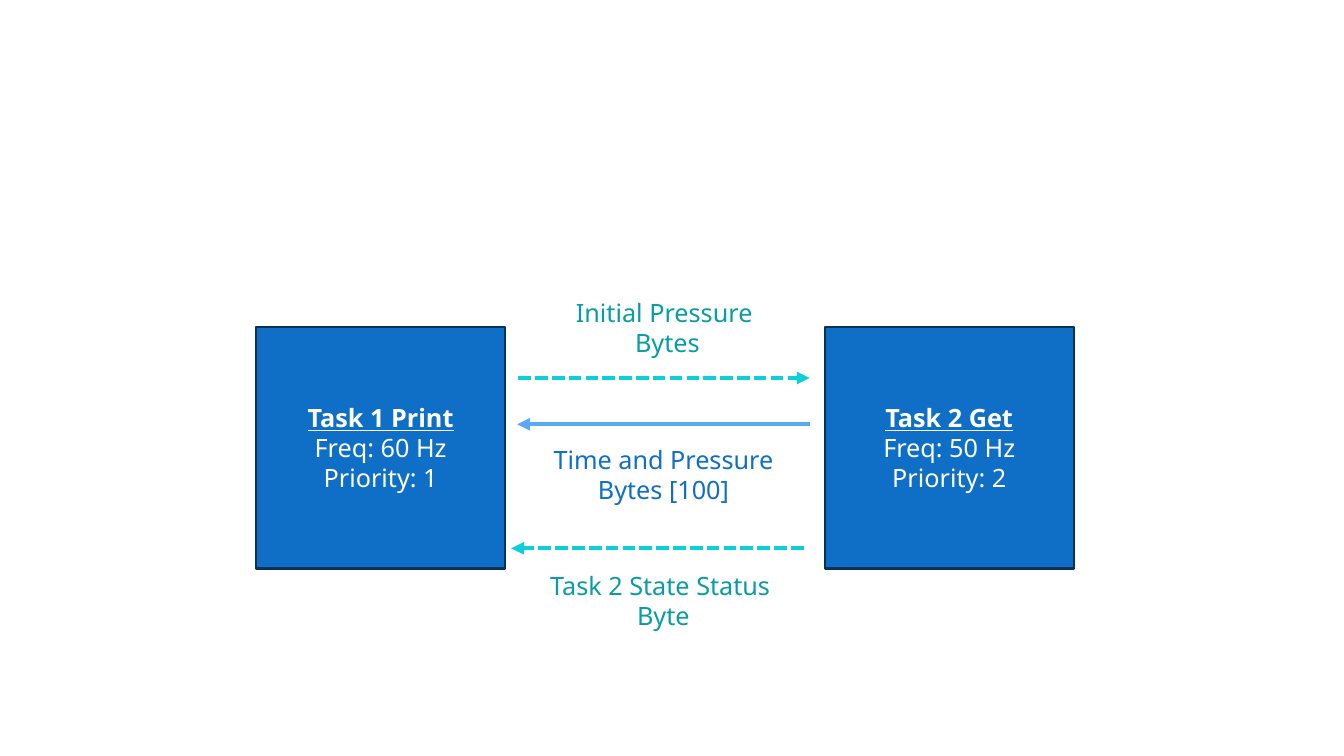
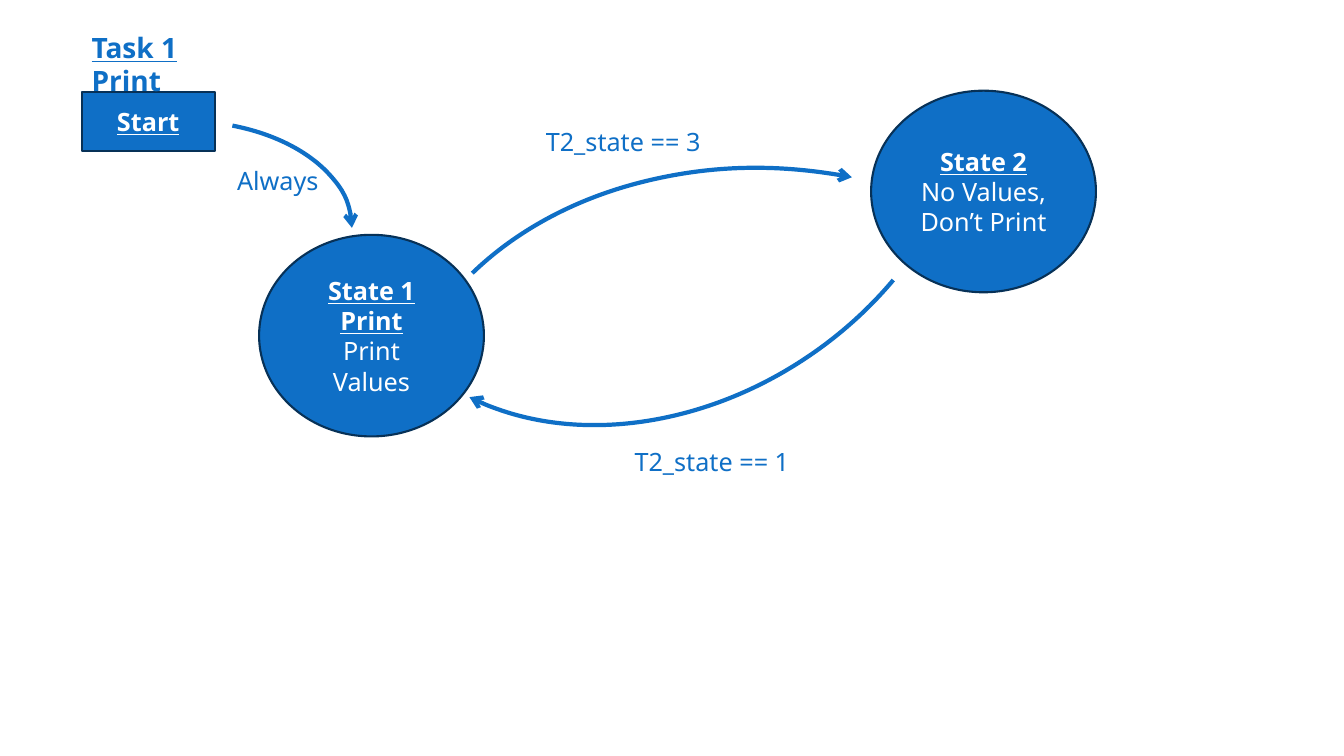
from dataclasses import dataclass

from lxml.etree import SubElement
from pptx import Presentation
from pptx.dml.color import RGBColor
from pptx.enum.dml import MSO_LINE
from pptx.enum.shapes import MSO_CONNECTOR, MSO_SHAPE
from pptx.enum.text import MSO_ANCHOR, MSO_AUTO_SIZE, PP_ALIGN
from pptx.oxml.ns import qn
from pptx.shapes.autoshape import Shape
from pptx.shapes.base import BaseShape
from pptx.slide import Slide
from pptx.util import Inches, Length, Pt


@dataclass(frozen=True)
class Theme:
    font: str = "Noto Sans"
    body_size: int = 18
    title_size: int = 20
    outline_width: float = 1.5
    arrow_width: float = 3
    white: str = "FFFFFF"
    blue: str = "0F6FC6"
    light_blue: str = "59AAF2"
    navy: str = "073157"
    cyan: str = "0BD0D9"
    teal: str = "089CA3"


THEME = Theme()


# Positions and sizes are columns and rows of a grid with ten cells to the inch
@dataclass(frozen=True)
class Box:
    column: float
    row: float
    columns: float
    rows: float


@dataclass(frozen=True)
class Node:
    box: Box
    lines: tuple[str, ...]
    kind: MSO_SHAPE = MSO_SHAPE.RECTANGLE


@dataclass(frozen=True)
class Message:
    start: float
    end: float
    row: float
    color: str
    dashed: bool = True


@dataclass(frozen=True)
class Transition:
    box: Box
    start_angle: float
    end_angle: float = 0
    rotation: float = 0


@dataclass(frozen=True)
class Label:
    box: Box
    lines: tuple[str, ...]
    color: str = THEME.blue
    title: bool = False


def cells(count: float) -> Length:
    return Inches(count / 10)


def place(box: Box) -> tuple[Length, Length, Length, Length]:
    return cells(box.column), cells(box.row), cells(box.columns), cells(box.rows)


def rgb(color: str) -> RGBColor:
    return RGBColor.from_string(color)


def write_lines(shape: Shape, lines: tuple[str, ...], color: str, size: int,
                align: PP_ALIGN, heading: bool) -> None:
    """Write one paragraph a line; a heading is bold and underlined."""
    frame = shape.text_frame
    frame.word_wrap = True
    frame.text = "\n".join(lines)
    for index, paragraph in enumerate(frame.paragraphs):
        paragraph.alignment = align
        for run in paragraph.runs:
            font = run.font
            font.name = THEME.font
            font.size = Pt(size)
            font.color.rgb = rgb(color)
            font.bold = font.underline = heading and index == 0


def style_arrow(shape: BaseShape, color: str, head: str) -> None:
    shape.line.color.rgb = rgb(color)
    shape.line.width = Pt(THEME.arrow_width)
    outline = shape.element.spPr.find(qn("a:ln"))
    SubElement(outline, qn("a:tailEnd")).set("type", head)


def draw_node(slide: Slide, node: Node) -> None:
    shape = slide.shapes.add_shape(node.kind, *place(node.box))
    shape.shadow.inherit = False
    shape.fill.solid()
    shape.fill.fore_color.rgb = rgb(THEME.blue)
    shape.line.color.rgb = rgb(THEME.navy)
    shape.line.width = Pt(THEME.outline_width)
    shape.text_frame.vertical_anchor = MSO_ANCHOR.MIDDLE
    write_lines(shape, node.lines, THEME.white, THEME.body_size,
                PP_ALIGN.CENTER, heading=True)


def draw_message(slide: Slide, message: Message) -> None:
    row = cells(message.row)
    connector = slide.shapes.add_connector(
        MSO_CONNECTOR.STRAIGHT, cells(message.start), row, cells(message.end), row)
    if message.dashed:
        connector.line.dash_style = MSO_LINE.SQUARE_DOT
    style_arrow(connector, message.color, "triangle")
    SubElement(connector.element.spPr, qn("a:effectLst"))


def draw_transition(slide: Slide, transition: Transition) -> None:
    arc = slide.shapes.add_shape(MSO_SHAPE.ARC, *place(transition.box))
    arc.shadow.inherit = False
    arc.fill.background()
    arc.rotation = transition.rotation
    # One degree is 60000 units, and an adjustment counts 100000 of them
    arc.adjustments[0] = transition.start_angle * 0.6
    arc.adjustments[1] = transition.end_angle * 0.6
    style_arrow(arc, THEME.blue, "arrow")


def draw_label(slide: Slide, label: Label) -> None:
    text_box = slide.shapes.add_textbox(*place(label.box))
    size = THEME.title_size if label.title else THEME.body_size
    align = PP_ALIGN.LEFT if label.title else PP_ALIGN.CENTER
    write_lines(text_box, label.lines, label.color, size, align, label.title)
    text_box.text_frame.auto_size = MSO_AUTO_SIZE.SHAPE_TO_FIT_TEXT


# Slide 1: messages between the two tasks
TASKS = [
    Node(Box(column, 32.4, 24.7, 24), (name, f"Freq: {frequency} Hz", f"Priority: {priority}"))
    for column, name, frequency, priority in (
        (25.4, "Task 1 Print", 60, 1), (81.8, "Task 2 Get", 50, 2))
]
MESSAGES = [
    Message(51.4, 80.3, 37.5, THEME.cyan),
    Message(80.3, 51.3, 42.1, THEME.light_blue, dashed=False),
    Message(79.7, 50.7, 54.4, THEME.cyan),
]
MESSAGE_LABELS = [
    Label(Box(51, 29, 30.4, 7.1), ("Initial Pressure ", "Bytes"), THEME.teal),
    Label(Box(50.7, 43.6, 30.2, 7.1), ("Time and Pressure Bytes [100]",)),
    Label(Box(50.6, 56.1, 30.4, 7.1), ("Task 2 State Status ", "Byte"), THEME.teal),
]

# Slide 2: states of the first task
STATES = [
    Node(Box(25.7, 23.3, 22.3, 20), ("State 1 Print", "Print Values"), MSO_SHAPE.OVAL),
    Node(Box(86.4, 9, 22.3, 20), ("State 2", "No Values, Don’t Print"), MSO_SHAPE.OVAL),
    Node(Box(8.1, 9.1, 13.2, 5.9), ("Start",)),
]
TRANSITIONS = [
    Transition(Box(1.4, 12, 33.5, 21.2), 295.8),
    Transition(Box(46.2, 8.9, 64.4, 80.6), 294.09, rotation=280.9),
    Transition(Box(32.6, -12.4, 66, 52.2), 245.78, 340.84, rotation=145.7),
]
STATE_LABELS = [
    Label(Box(21.3, 15.9, 12.5, 4), ("Always",)),
    Label(Box(41.2, 12, 41.2, 4), ("T2_state == 3",)),
    Label(Box(8.1, 2.5, 17.6, 4.4), ("Task 1 Print",), title=True),
    Label(Box(50, 43.8, 41.2, 4), ("T2_state == 1",)),
]


def main() -> None:
    presentation = Presentation()
    presentation.slide_width = Inches(13.33)
    presentation.slide_height = Inches(7.5)
    blank_layout = presentation.slide_layouts[6]
    diagrams = (
        (TASKS, draw_message, MESSAGES, MESSAGE_LABELS),
        (STATES, draw_transition, TRANSITIONS, STATE_LABELS),
    )
    for nodes, draw_arrow, arrows, labels in diagrams:
        slide = presentation.slides.add_slide(blank_layout)
        for node in nodes:
            draw_node(slide, node)
        for arrow in arrows:
            draw_arrow(slide, arrow)
        for label in labels:
            draw_label(slide, label)
    presentation.save("out.pptx")


if __name__ == "__main__":
    main()
